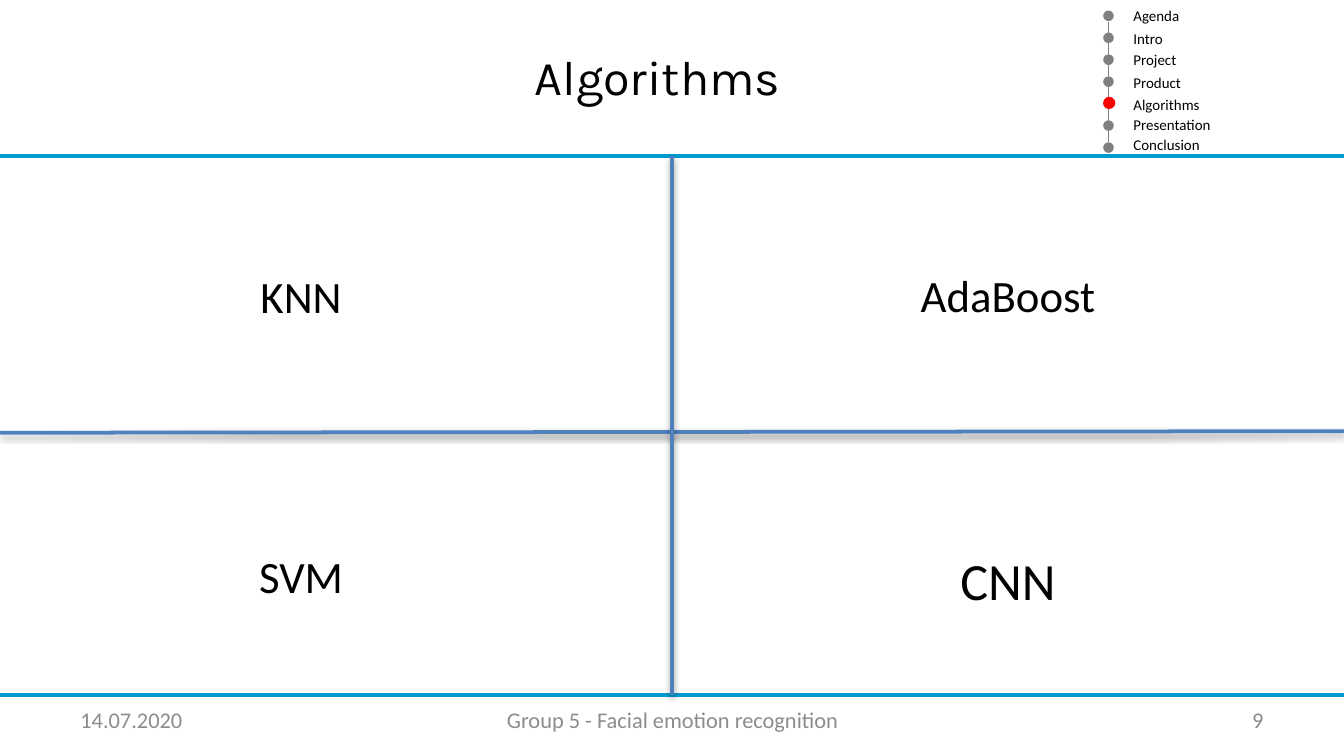
from lxml import etree
from pptx import Presentation
from pptx.dml.color import RGBColor
from pptx.enum.shapes import MSO_CONNECTOR, MSO_SHAPE
from pptx.enum.text import MSO_ANCHOR, PP_ALIGN
from pptx.oxml.ns import qn
from pptx.util import Cm, Pt

STRAIGHT = MSO_CONNECTOR.STRAIGHT
OVAL = MSO_SHAPE.OVAL
TOP, MIDDLE = MSO_ANCHOR.TOP, MSO_ANCHOR.MIDDLE
LEFT, CENTER, RIGHT = PP_ALIGN.LEFT, PP_ALIGN.CENTER, PP_ALIGN.RIGHT

COLORS = {
    "text": "000000",
    "muted": "8C8C8C",
    "dot": "808080",
    "active": "FF0000",
    "rule": "009CD1",
    "divider": "4F81BD",
}
WIDTH, HEIGHT = 25.4, 14.29
TITLE = "Algorithms"
SECTIONS = [
    ("Agenda", 0),
    ("Intro", 0.43),
    ("Project", 0.84),
    ("Product", 1.27),
    ("Algorithms", 1.68),
    ("Presentation", 2.06),
    ("Conclusion", 2.44),
]
QUADRANTS = [
    ("KNN", 2.69, 4.95, 1.27, 24),
    ("AdaBoost", 16.05, 4.93, 1.27, 24),
    ("SVM", 2.69, 10.24, 1.27, 24),
    ("CNN", 16.05, 10.24, 1.45, 28),
]
FOOTER = [
    ("14.07.2020", 1.27, 5.92, LEFT),
    ("Group 5 - Facial emotion recognition", 8.69, 8.05, CENTER),
    ("9", 18.21, 5.92, RIGHT),
]
HEADER_Y, FOOTER_Y = 2.95, 13.13
DOT_X, DOT_Y, DOT_SIZE, DOT_STEP = 20.85, 0.2, 0.2, 0.415


def rgb(name):
    return RGBColor.from_string(COLORS[name])


def set_text(sp, text, size, color="text", align=LEFT, anchor=TOP, font="Calibri"):
    tf = sp.text_frame
    tf.word_wrap = True
    tf.vertical_anchor = anchor
    tf.text = text
    p = tf.paragraphs[0]
    p.alignment = align
    r = p.runs[0]
    r.font.name = font
    r.font.size = Pt(size)
    r.font.color.rgb = rgb(color)


def add_text(s, box, text, size, **style):
    sp = s.shapes.add_textbox(*map(Cm, box))
    set_text(sp, text, size, **style)


def add_line(s, ends, color, width=2, shadow=False):
    line = s.shapes.add_connector(STRAIGHT, *map(Cm, ends))
    line.line.color.rgb = rgb(color)
    line.line.width = Pt(width)
    effects = etree.SubElement(line._element.spPr, qn("a:effectLst"))
    if shadow:
        outer = etree.SubElement(effects, qn("a:outerShdw"), blurRad="40000",
                                 dist="20000", dir="5400000", rotWithShape="0")
        black = etree.SubElement(outer, qn("a:srgbClr"), val="000000")
        etree.SubElement(black, qn("a:alpha"), val="38000")


def add_dot(s, x, y, size, color):
    sp = s.shapes.add_shape(OVAL, Cm(x), Cm(y), Cm(size), Cm(size))
    sp.shadow.inherit = False
    sp.fill.solid()
    sp.fill.fore_color.rgb = rgb(color)
    sp.line.fill.background()


def add_progress(s):
    x = DOT_X + DOT_SIZE / 2
    add_line(s, (x, 0.41, x, 2.69), "dot", 1)
    for i, (name, top) in enumerate(SECTIONS):
        add_dot(s, DOT_X, DOT_Y + i * DOT_STEP, DOT_SIZE, "dot")
        add_text(s, (21.17, top, 3.3, 0.61), name, 8)
        if name == TITLE:
            add_dot(s, DOT_X, 1.83, 0.23, "active")


def main():
    prs = Presentation()
    prs.slide_width, prs.slide_height = Cm(WIDTH), Cm(HEIGHT)
    s = prs.slides.add_slide(prs.slide_layouts[5])

    title = s.shapes.title
    title.left, title.top, title.width, title.height = map(Cm, (0.58, 0.74, 23.7, 1.4))
    set_text(title, TITLE, 26, align=CENTER, anchor=MIDDLE, font="Karla")

    add_progress(s)
    for y in (HEADER_Y, FOOTER_Y):
        add_line(s, (0, y, WIDTH, y), "rule")
    for text, left, width, align in FOOTER:
        add_text(s, (left, 13.23, width, 0.76), text, 12,
                 color="muted", align=align, anchor=MIDDLE)

    add_line(s, (0, 8.18, WIDTH, 8.15), "divider", shadow=True)
    add_line(s, (WIDTH / 2, HEADER_Y, WIDTH / 2, FOOTER_Y), "divider", shadow=True)
    for text, left, top, height, size in QUADRANTS:
        add_text(s, (left, top, 6, height), text, size, align=CENTER)

    prs.save("out.pptx")


if __name__ == "__main__":
    main()
